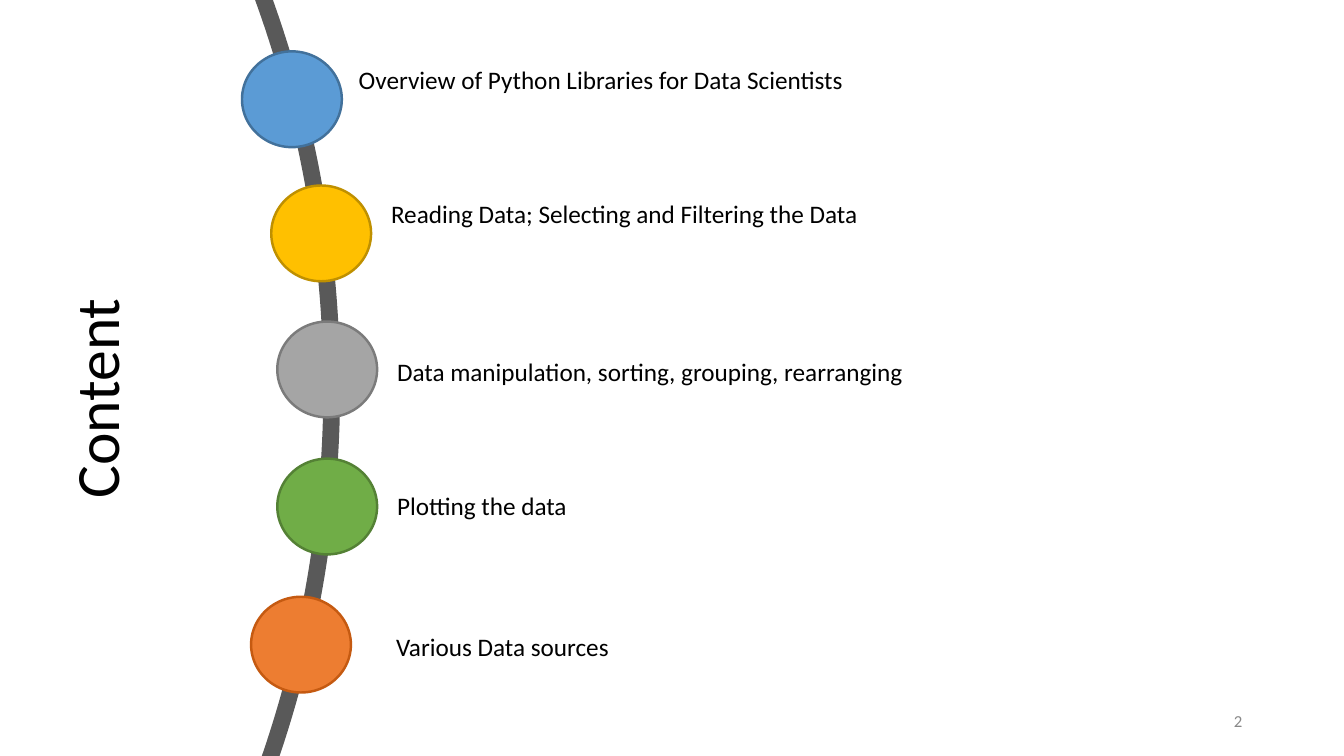
from pptx import Presentation
from pptx.dml.color import RGBColor
from pptx.enum.shapes import MSO_SHAPE
from pptx.enum.text import MSO_ANCHOR, PP_ALIGN
from pptx.util import Inches, Pt

OVAL = MSO_SHAPE.OVAL
TOP, MIDDLE = MSO_ANCHOR.TOP, MSO_ANCHOR.MIDDLE
LEFT, CENTER, RIGHT = PP_ALIGN.LEFT, PP_ALIGN.CENTER, PP_ALIGN.RIGHT

COLORS = {
    "text": "000000",
    "page_number": "888888",
    "arc": "595959",
    "blue": "5B9BD5",
    "blue_edge": "42719B",
    "gold": "FFC000",
    "gold_edge": "BF9000",
    "gray": "A5A5A5",
    "gray_edge": "7B7B7B",
    "green": "70AD47",
    "green_edge": "548135",
    "orange": "ED7D31",
    "orange_edge": "C55A11",
}

MARKER_SIZE = (0.99, 0.95)
# Topic, marker colour, marker left and top, label left, top and width
TOPICS = [
    ("Overview of Python Libraries for Data Scientists", "blue",
     (2.4, 0.51), (3.46, 0.59, 5.87)),
    ("Reading Data; Selecting and Filtering the Data", "gold",
     (2.69, 1.84), (3.78, 1.92, 7.69)),
    ("Data manipulation, sorting, grouping, rearranging", "gray",
     (2.75, 3.19), (3.84, 3.49, 5.77)),
    ("Plotting the data", "green",
     (2.75, 4.55), (3.84, 4.82, 5.77)),
    ("Various Data sources", "orange",
     (2.49, 5.92), (3.83, 6.21, 2.39)),
]


class SlidePainter:
    """Holds the text style and the slide being drawn."""

    font = "Calibri"

    def __init__(self, page):
        self.page = page

    def text(self, text, left, top, width, height, size=18, color="text",
             align=LEFT, anchor=TOP, rotation=0, line_spacing=None):
        box = self.page.shapes.add_textbox(
            Inches(left), Inches(top), Inches(width), Inches(height))
        box.rotation = rotation
        frame = box.text_frame
        frame.word_wrap = True
        frame.vertical_anchor = anchor
        para = frame.paragraphs[0]
        para.alignment = align
        para.line_spacing = line_spacing
        span = para.add_run()
        span.text = text
        span.font.name = self.font
        span.font.size = Pt(size)
        span.font.color.rgb = RGBColor.from_string(COLORS[color])

    def oval(self, left, top, width, height, edge, edge_width, fill=None):
        shape = self.page.shapes.add_shape(
            OVAL, Inches(left), Inches(top), Inches(width), Inches(height))
        shape.shadow.inherit = False
        if fill:
            shape.fill.solid()
            shape.fill.fore_color.rgb = RGBColor.from_string(COLORS[fill])
        else:
            shape.fill.background()
        shape.line.color.rgb = RGBColor.from_string(COLORS[edge])
        shape.line.width = Pt(edge_width)


def main():
    deck = Presentation()
    deck.slide_width, deck.slide_height = Inches(13.33), Inches(7.5)
    painter = SlidePainter(deck.slides.add_slide(deck.slide_layouts[6]))

    painter.text("Content", -2.06, 3.23, 6.09, 1.45, size=44, align=CENTER,
                 anchor=MIDDLE, rotation=270, line_spacing=0.9)
    painter.text("2", 9.42, 6.95, 3, 0.4, size=12, color="page_number",
                 align=RIGHT, anchor=MIDDLE)

    painter.oval(-19.38, -7.49, 22.67, 22.67, edge="arc", edge_width=12)
    for topic, color, marker, (left, top, width) in TOPICS:
        painter.oval(*marker, *MARKER_SIZE, edge=f"{color}_edge",
                     edge_width=1.75, fill=color)
        painter.text(topic, left, top, width, 0.4)

    deck.save("out.pptx")


if __name__ == "__main__":
    main()
